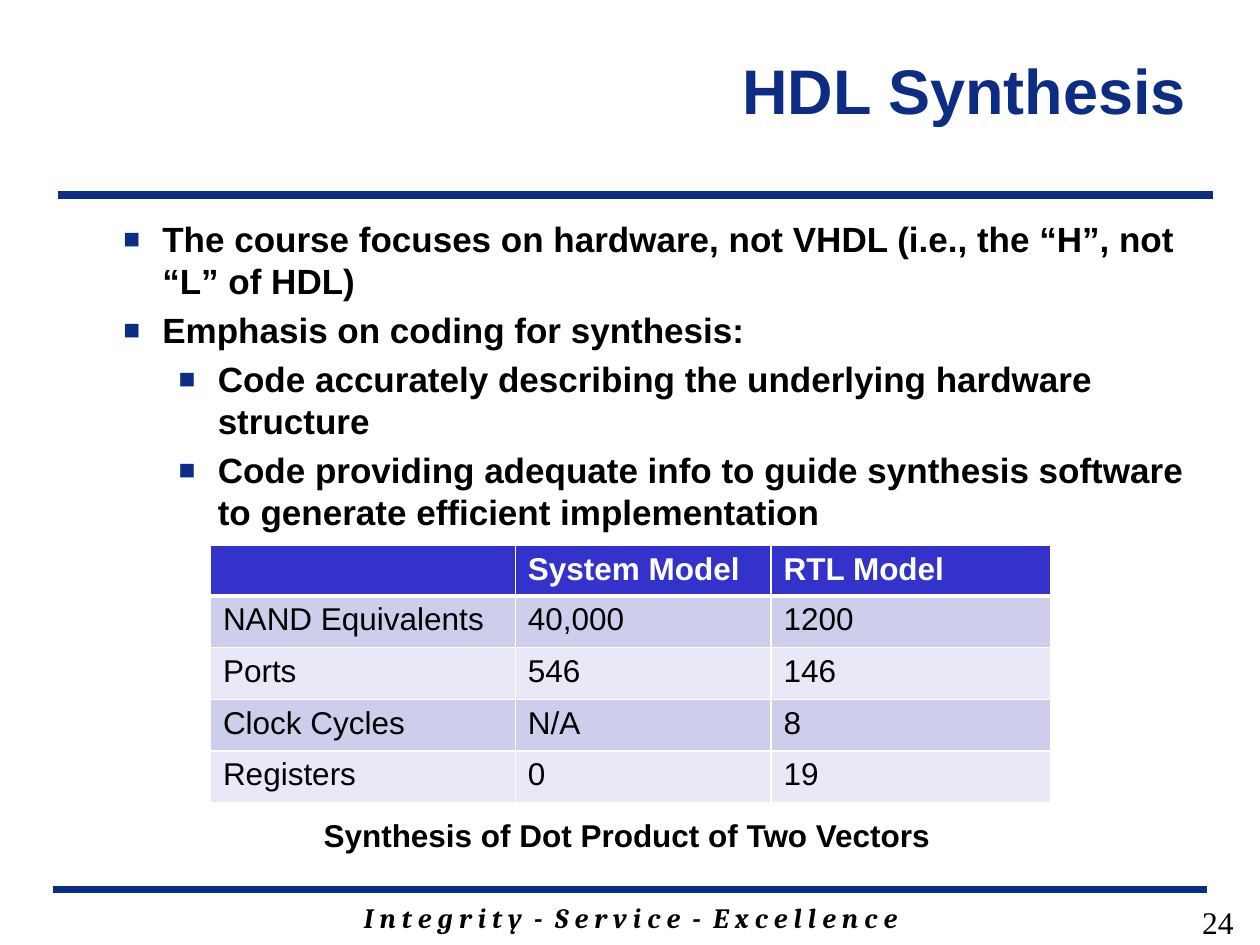
from pptx import Presentation
from pptx.dml.color import RGBColor
from pptx.enum.shapes import MSO_CONNECTOR
from pptx.enum.text import MSO_ANCHOR, PP_ALIGN
from pptx.oxml.ns import qn
from pptx.util import Inches, Pt
from lxml.etree import SubElement

NAVY, BLACK, WHITE = "0C2D83", "000000", "FFFFFF"
HEADER, BANDS = "3333CC", ("CECEEC", "E8E8F6")


def rgb(color):
    return RGBColor.from_string(color)


class SlideBuilder:
    """Draws styled elements on one slide."""

    def __init__(self, slide, font="Arial"):
        self.slide = slide
        self.font = font

    def style(self, p, size, color=BLACK, bold=True, italic=False, font=None):
        for r in p.runs:
            f = r.font
            f.name, f.size = font or self.font, Pt(size)
            f.bold, f.italic = bold, italic
            f.color.rgb = rgb(color)

    def rule(self, x1, x2, y):
        sp = self.slide.shapes.add_connector(
            MSO_CONNECTOR.STRAIGHT, Inches(x1), Inches(y), Inches(x2), Inches(y))
        sp.line.color.rgb = rgb(NAVY)
        sp.line.width = Pt(4.5)
        SubElement(sp._element.spPr, qn("a:effectLst"))

    def box(self, x, y, w, h, wrap=True, anchor=MSO_ANCHOR.TOP):
        sp = self.slide.shapes.add_textbox(Inches(x), Inches(y), Inches(w), Inches(h))
        tf = sp.text_frame
        tf.word_wrap, tf.vertical_anchor = wrap, anchor
        return tf

    def text(self, text, x, y, w, h, size, align=PP_ALIGN.LEFT, wrap=True,
             anchor=MSO_ANCHOR.TOP, **style):
        p = self.box(x, y, w, h, wrap, anchor).paragraphs[0]
        p.text, p.alignment = text, align
        self.style(p, size, **style)

    def bullets(self, items, x, y, w, h, size):
        tf = self.box(x, y, w, h)
        for i, (level, text) in enumerate(items):
            p = tf.add_paragraph() if i else tf.paragraphs[0]
            p.text, p.level = text, level
            p.space_before = Pt(size * 0.2)
            self.style(p, size)
            pPr = p._p.get_or_add_pPr()
            pPr.set("marL", str(Inches((0.31, 0.75)[level])))
            pPr.set("indent", str(Inches(-0.31)))
            SubElement(SubElement(pPr, qn("a:buClr")), qn("a:srgbClr"), val=NAVY)
            SubElement(pPr, qn("a:buSzPct"), val="80000")
            SubElement(pPr, qn("a:buFont"), typeface=self.font)
            SubElement(pPr, qn("a:buChar"), char="■")

    def borders(self, cell, **widths):
        tcPr = cell._tc.get_or_add_tcPr()
        for i, side in enumerate("LRTB"):
            ln = SubElement(tcPr, qn(f"a:ln{side}"), w=str(Pt(widths.get(side, 1))))
            fill = SubElement(ln, qn("a:solidFill"))
            SubElement(fill, qn("a:srgbClr"), val=WHITE)
            tcPr.insert(i, ln)

    def table(self, rows, x, y, widths, heights, size):
        tbl = self.slide.shapes.add_table(
            len(rows), len(widths), Inches(x), Inches(y),
            Inches(sum(widths)), Inches(sum(heights))).table
        for col, width in zip(tbl.columns, widths):
            col.width = Inches(width)
        for i, (row, height) in enumerate(zip(rows, heights)):
            tbl.rows[i].height = Inches(height)
            for j, text in enumerate(row):
                cell = tbl.cell(i, j)
                cell.text = text
                cell.fill.solid()
                cell.fill.fore_color.rgb = rgb(BANDS[(i - 1) % 2] if i else HEADER)
                self.style(cell.text_frame.paragraphs[0], size,
                           color=BLACK if i else WHITE, bold=i == 0)
                self.borders(cell, B=1 if i else 3, T=3 if i == 1 else 1)


prs = Presentation()
prs.slide_width, prs.slide_height = Inches(10), Inches(7.5)
s = SlideBuilder(prs.slides.add_slide(prs.slide_layouts[6]))

s.rule(0.42, 9.58, 7.06)
s.rule(0.46, 9.63, 1.55)
s.text("I n t e g r i t y  -  S e r v i c e  -  E x c e l l e n c e",
       1.42, 7.1, 7.17, 0.37, 16, PP_ALIGN.CENTER, italic=True, font="Cambria")
s.text("HDL Synthesis", 2.09, 0.08, 7.42, 1.25, 36, PP_ALIGN.RIGHT,
       anchor=MSO_ANCHOR.MIDDLE, color=NAVY)
s.bullets([
    (0, "The course focuses on hardware, not VHDL (i.e., the “H”, not “L” of HDL)"),
    (0, "Emphasis on coding for synthesis:"),
    (1, "Code accurately describing the underlying hardware structure"),
    (1, "Code providing adequate info to guide synthesis software "
        "to generate efficient implementation"),
], 0.88, 1.68, 8.89, 5.07, 20)
s.text("24", 7.56, 7.12, 2.33, 0.37, 18, PP_ALIGN.RIGHT,
       bold=False, font="Times New Roman")
s.table([
    ("", "System Model", "RTL Model"),
    ("NAND Equivalents", "40,000", "1200"),
    ("Ports", "546", "146"),
    ("Clock Cycles", "N/A", "8"),
    ("Registers", "0", "19"),
], 1.67, 4.33, (2.42, 2.03, 2.22), [0.37] + [0.41] * 4, 18)
s.text("Synthesis of Dot Product of Two Vectors", 2.47, 6.43, 5.06, 0.4, 18, wrap=False)

prs.save("out.pptx")
